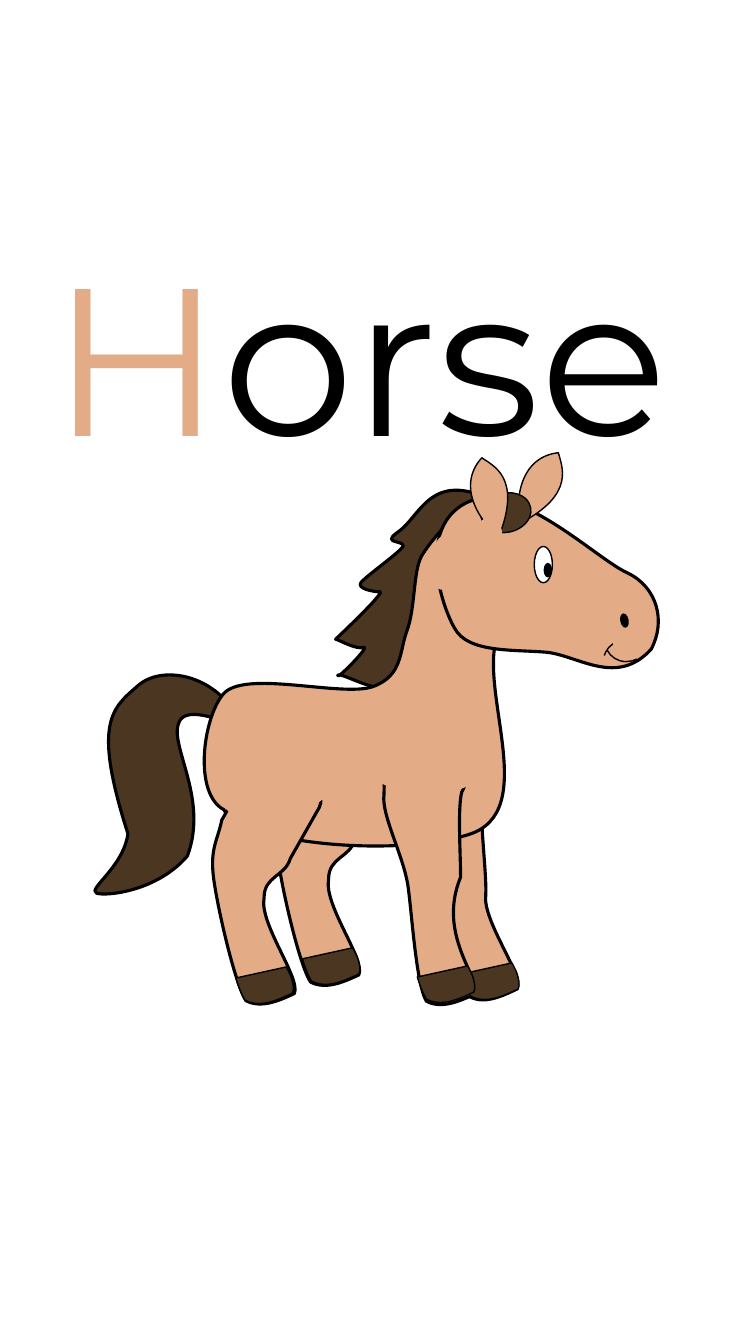
from pptx import Presentation
from pptx import util as u
from pptx.dml.color import RGBColor
from pptx.enum import shapes, text
from pptx.oxml import ns, xmlchemy as xml

TAN = RGBColor(0xE3, 0xAC, 0x87)
BROWN = RGBColor(0x4B, 0x36, 0x21)
BLACK = RGBColor(0, 0, 0)
WHITE = RGBColor(255, 255, 255)
OVAL = shapes.MSO_SHAPE.OVAL
ARC = shapes.MSO_SHAPE.ARC

deck = Presentation()
deck.slide_width = u.Inches(7.5)
deck.slide_height = u.Inches(13.33)
CELL = deck.slide_width / 750
slide = deck.slides.add_slide(deck.slide_layouts[5])


def write(para, words, size=150, font="Montserrat", color=BLACK):
    run = para.add_run()
    run.text = words
    run.font.size = u.Pt(size)
    run.font.name = font
    run.font.color.rgb = color


def trace(path, right=0, down=0):
    spots = [((x + right) * CELL, (y + down) * CELL)
             for step in path for x, y in zip(step[::2], step[1::2])]
    pen = slide.shapes.build_freeform(*spots[0])
    pen.add_line_segments(spots[1:], close=True)
    part = pen.convert_to_shape()
    lines = iter(list(part._element.iter(ns.qn("a:lnTo"))))
    for step in path[1:]:
        legs = [next(lines) for _ in step[::2]]
        if len(legs) == 3:
            curve = xml.OxmlElement("a:cubicBezTo")
            legs[0].addprevious(curve)
            for leg in legs:
                curve.append(leg[0])
                leg.getparent().remove(leg)
    return part


title = slide.shapes.title
title.left, title.top, title.width, title.height = (
    round(n * CELL) for n in (41, 220, 700, 263))
frame = title.text_frame
frame.word_wrap = True
frame.auto_size = text.MSO_AUTO_SIZE.SHAPE_TO_FIT_TEXT
frame.vertical_anchor = text.MSO_ANCHOR.TOP
line = frame.paragraphs[0]
line.alignment = text.PP_ALIGN.LEFT
write(line, "H", color=TAN)
write(line, "orse")

tail = [(96, 886), (86, 882, 122, 861, 127, 827), (91, 715, 112, 702, 137, 680),
        (162, 658, 218, 670, 239, 718), (231, 722, 184, 695, 177, 718),
        (169, 741, 207, 793, 186, 849), (156, 884, 106, 889, 96, 886)]
hind = [(313, 744), (316, 737, 324, 735, 330, 739), (376, 764),
        (382, 768, 384, 776, 381, 782), (352, 833),
        (347, 851, 326, 850, 326, 872), (321, 898, 363, 952, 356, 967),
        (341, 974, 323, 982, 308, 974), (297, 957, 280, 883, 276, 853),
        (272, 823, 280, 815, 284, 795)]
fore_far = [(439, 746), (454, 741, 474, 743, 486, 749),
            (492, 764, 487, 762, 479, 780), (474, 798, 483, 864, 482, 887),
            (478, 913, 520, 967, 513, 981), (498, 988, 480, 997, 465, 988),
            (454, 971, 437, 897, 433, 868), (429, 838, 426, 816, 429, 796)]
mane = [(484, 494), (525, 524), (464, 616), (431, 680),
        (415, 679, 428, 684, 392, 678), (380, 693, 337, 665, 335, 670),
        (334, 675, 368, 640, 361, 642), (354, 645, 335, 634, 333, 634),
        (332, 635, 383, 587, 377, 587), (371, 587, 354, 584, 358, 578),
        (362, 572, 401, 545, 400, 541), (399, 536, 380, 539, 393, 529),
        (417, 514, 425, 468, 484, 494)]
body = [(404, 625), (412, 603, 410, 567, 418, 552), (427, 536, 464, 492, 476, 504),
        (489, 517, 495, 575, 495, 627), (471, 680, 539, 806, 464, 828),
        (390, 851, 239, 836, 222, 803), (192, 787, 201, 714, 221, 689),
        (241, 663, 339, 692, 370, 681), (400, 670, 396, 646, 404, 625)]
fore_near = [(382, 748), (397, 743, 447, 739, 459, 745),
             (465, 760, 467, 768, 458, 786), (454, 803, 457, 847, 457, 870),
             (433, 928, 478, 971, 471, 986), (456, 993, 438, 1001, 423, 993),
             (413, 976, 409, 910, 405, 880), (401, 850, 378, 808, 381, 788)]
hoof = [(284, 959), (288, 967), (291, 975, 292, 981, 290, 985),
        (275, 992, 258, 1000, 243, 992), (240, 987, 237, 980, 234, 970)]
head = [(462, 499), (511, 474, 591, 554, 622, 568), (652, 582, 661, 616, 646, 644),
        (612, 681, 575, 651, 543, 647), (510, 644, 464, 648, 451, 623),
        (437, 599, 414, 524, 462, 499)]
ear_far = [(516, 519), (572, 490, 557, 462, 554, 449), (511, 454, 512, 506, 516, 519)]
ear_near = [(495, 532), (518, 473, 489, 462, 478, 454), (449, 486, 484, 525, 495, 532)]

parts = [
    (tail, (0, 0), BROWN, BLACK, 2.25),
    (hind, (0, 0), TAN, BLACK, 2.25),
    (fore_far, (0, 0), TAN, BLACK, 2.25),
    (mane, (0, 0), BROWN, BLACK, 2.25),
    (body, (0, 0), TAN, BLACK, 2.25),
    (hind, (-64, 18.5), TAN, BLACK, 2.25),
    (fore_near, (0, 0), TAN, BLACK, 2.25),
    *((hoof, move, BROWN, BLACK, 1)
      for move in ((0, 0), (66, -19), (224, -4), (180, -1))),
    (head, (0, 0), TAN, BLACK, 2.25),
    (ear_far, (0, 0), TAN, BLACK, 1),
    (OVAL, (477, 489, 50, 39, 347.3), BROWN, BLACK, 1),
    (OVAL, (218, 747, 116, 64, 345.4), TAN, TAN, 1),
    (OVAL, (366, 729, 116, 58, 0), TAN, TAN, 1),
    (ear_near, (0, 0), TAN, BLACK, 1),
    (OVAL, (456, 526, 55, 28, 98.1), TAN, TAN, 1),
    (OVAL, (521, 551, 36, 18, 90), WHITE, BLACK, 1),
    (ARC, (600, 614, 44, 42, 152.6), None, BLACK, 1),
    (OVAL, (613, 612, 13, 7, 79.3), BLACK, BLACK, 1),
    (OVAL, (537, 562, 13, 7, 90), BLACK, BLACK, 1),
    (OVAL, (414, 543, 55, 28, 98.1), TAN, TAN, 1),
    (ARC, (598, 636, 44, 42, 237, 192.94), None, BLACK, 1)]

for form, place, fill, edge, width in parts:
    if isinstance(form, list):
        part = trace(form, *place)
    else:
        part = slide.shapes.add_shape(form, *(round(n * CELL) for n in place[:4]))
        part.rotation = place[4]
        for start in place[5:]:
            part.adjustments[0] = start
    part.shadow.inherit = False
    if fill is None:
        part.fill.background()
    else:
        part.fill.solid()
        part.fill.fore_color.rgb = fill
    part.line.color.rgb = edge
    part.line.width = u.Pt(width)

deck.save("out.pptx")
